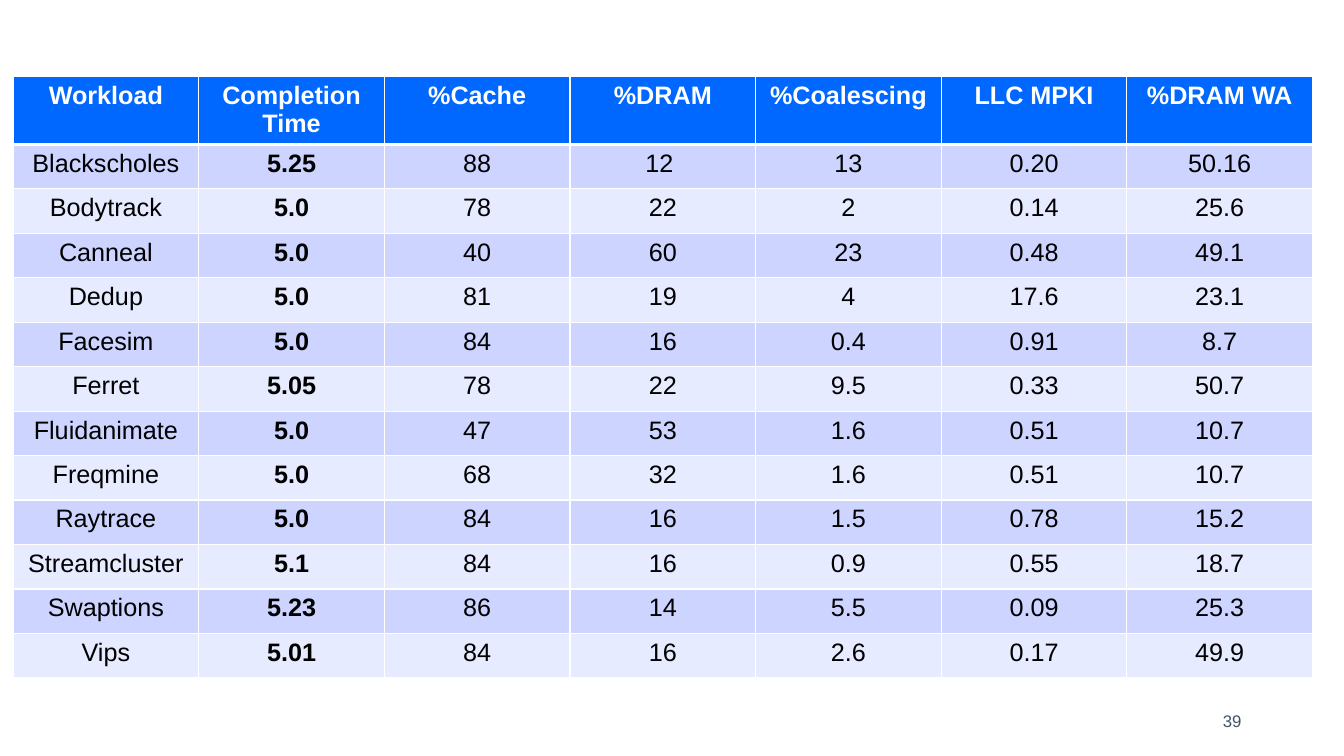
from dataclasses import dataclass

from lxml import etree
from pptx import Presentation
from pptx import util as u
from pptx.dml.color import RGBColor
from pptx.enum import text
from pptx.oxml.ns import qn


@dataclass(frozen=True)
class Theme:
    font: str = "Arial"
    table_size: int = 18
    number_size: int = 12
    white: str = "FFFFFF"
    black: str = "000000"
    header: str = "0068FF"
    bands: tuple = ("CCD4FF", "E7EBFF")
    number: str = "44546A"


THEME = Theme()

HEADINGS = ("Workload", "Completion Time", "%Cache", "%DRAM",
            "%Coalescing", "LLC MPKI", "%DRAM WA")
WORKLOADS = (
    ("Blackscholes", "5.25", "88", "12 ", "13", "0.20", "50.16"),
    ("Bodytrack", "5.0", "78", "22", "2", "0.14", "25.6"),
    ("Canneal", "5.0", "40", "60", "23", "0.48", "49.1"),
    ("Dedup", "5.0", "81", "19", "4", "17.6", "23.1"),
    ("Facesim", "5.0", "84", "16", "0.4", "0.91", "8.7"),
    ("Ferret", "5.05", "78", "22", "9.5", "0.33", "50.7"),
    ("Fluidanimate", "5.0", "47", "53", "1.6", "0.51", "10.7"),
    ("Freqmine", "5.0", "68", "32", "1.6", "0.51", "10.7"),
    ("Raytrace", "5.0", "84", "16", "1.5", "0.78", "15.2"),
    ("Streamcluster", "5.1", "84", "16", "0.9", "0.55", "18.7"),
    ("Swaptions", "5.23", "86", "14", "5.5", "0.09", "25.3"),
    ("Vips", "5.01", "84", "16", "2.6", "0.17", "49.9"),
)
TIME_COLUMN = 1


def add_run(p, words, size, color, bold=False):
    r = p.add_run()
    r.text = words
    r.font.name = THEME.font
    r.font.size = u.Pt(size)
    r.font.bold = bold
    r.font.color.rgb = RGBColor.from_string(color)


def set_borders(cell, widths):
    """Draw white cell borders; widths maps each side (L, R, T, B) to points."""
    tc_pr = cell._tc.get_or_add_tcPr()
    for side, points in widths.items():
        ln = etree.SubElement(tc_pr, qn(f"a:ln{side}"), w=str(u.Pt(points)))
        fill = etree.SubElement(ln, qn("a:solidFill"))
        etree.SubElement(fill, qn("a:srgbClr"), val=THEME.white)


def fill_cell(cell, words, fill, color, bold, widths):
    set_borders(cell, widths)
    cell.fill.solid()
    cell.fill.fore_color.rgb = RGBColor.from_string(fill)
    p = cell.text_frame.paragraphs[0]
    p.alignment = text.PP_ALIGN.CENTER
    add_run(p, words, THEME.table_size, color, bold)


def add_workload_table(s, left, top, width, header_height, row_height):
    rows = (HEADINGS, *WORKLOADS)
    height = header_height + row_height * len(WORKLOADS)
    table = s.shapes.add_table(len(rows), len(HEADINGS),
                               left, top, width, height).table
    for i, values in enumerate(rows):
        is_header = i == 0
        table.rows[i].height = header_height if is_header else row_height
        fill = THEME.header if is_header else THEME.bands[(i - 1) % 2]
        color = THEME.white if is_header else THEME.black
        widths = {"L": 1, "R": 1, "T": 3 if i == 1 else 1,
                  "B": 3 if is_header else 1}
        for j, words in enumerate(values):
            bold = is_header or j == TIME_COLUMN
            fill_cell(table.cell(i, j), words, fill, color, bold, widths)


def add_slide_number(s, left, top, width, height, number):
    tf = s.shapes.add_textbox(left, top, width, height).text_frame
    tf.word_wrap = True
    tf.vertical_anchor = text.MSO_ANCHOR.MIDDLE
    p = tf.paragraphs[0]
    p.alignment = text.PP_ALIGN.RIGHT
    add_run(p, number, THEME.number_size, THEME.number)


def main():
    prs = Presentation()
    prs.slide_width, prs.slide_height = u.Cm(33.87), u.Cm(19.05)
    s = prs.slides.add_slide(prs.slide_layouts[6])
    add_workload_table(s, u.Cm(0.33), u.Cm(1.93), u.Cm(32.75),
                       header_height=u.Cm(1.71), row_height=u.Cm(1.12))
    add_slide_number(s, u.Cm(23.92), u.Cm(17.66), u.Cm(7.62), u.Cm(1.01), "39")
    prs.save("out.pptx")


if __name__ == "__main__":
    main()
